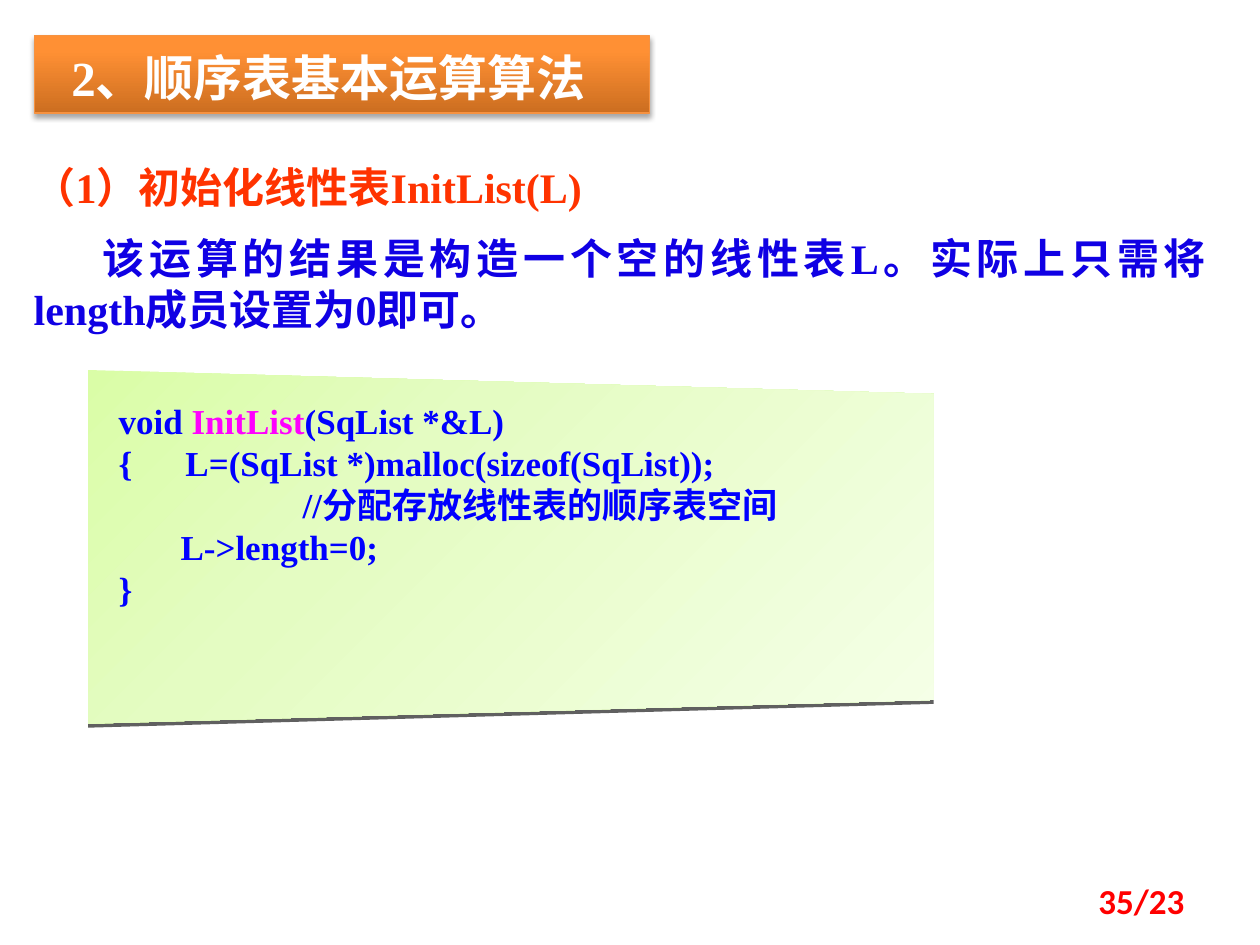
from lxml import etree
from pptx import Presentation
from pptx import util as u
from pptx.dml.color import RGBColor
from pptx.enum import text
from pptx.oxml import ns

WHITE = RGBColor(0xFF, 0xFF, 0xFF)
RED = RGBColor(0xFF, 0x00, 0x00)
ORANGE_RED = RGBColor(0xFF, 0x33, 0x00)
ORANGE_LINE = RGBColor(0xF6, 0x92, 0x40)
INDIGO = RGBColor(0x10, 0x00, 0xE4)
BLUE = RGBColor(0x00, 0x00, 0xFF)
MAGENTA = RGBColor(0xFF, 0x00, 0xFF)
EDGE_GRAY = RGBColor(0x60, 0x60, 0x60)
ORANGE_STOPS = [
    (0, RGBColor(0xCC, 0x6E, 0x20)),
    (0.8, RGBColor(0xFF, 0x90, 0x34)),
    (1, RGBColor(0xFF, 0x91, 0x36)),
]
GREEN_STOPS = [
    (0, RGBColor(0xDA, 0xFD, 0xA7)),
    (0.35, RGBColor(0xE4, 0xFC, 0xC2)),
    (1, RGBColor(0xF5, 0xFF, 0xE7)),
]
SERIF = "Times New Roman"


def set_format(target, values):
    """Set each attribute named in values on the target."""
    for name, value in values.items():
        setattr(target, name, value)


def add_run(paragraph, wording, color, size, font=SERIF):
    """Append a bold run to the paragraph."""
    run = paragraph.add_run()
    run.text = wording
    set_format(run.font, {"name": font, "size": u.Pt(size), "bold": True})
    run.font.color.rgb = color


def fill_gradient(shape, stops, angle):
    """Fill the shape with a linear gradient of any number of stops."""
    shape.fill.gradient()
    shape.fill.gradient_angle = angle
    stop_list = shape._element.spPr.find(ns.qn("a:gradFill")).find(ns.qn("a:gsLst"))
    for stop in list(stop_list):
        stop_list.remove(stop)
    for position, color in stops:
        stop = etree.SubElement(stop_list, ns.qn("a:gs"), pos=str(int(position * 100000)))
        etree.SubElement(stop, ns.qn("a:srgbClr"), val=str(color))


def add_shadow(shape, blur, distance, opacity):
    """Give the shape a soft shadow that falls straight down."""
    shape.shadow.inherit = False
    effects = shape._element.spPr.find(ns.qn("a:effectLst"))
    shadow = etree.SubElement(
        effects, ns.qn("a:outerShdw"), blurRad=str(u.Pt(blur)),
        dist=str(u.Pt(distance)), dir="5400000", rotWithShape="0",
    )
    color = etree.SubElement(shadow, ns.qn("a:srgbClr"), val="000000")
    etree.SubElement(color, ns.qn("a:alpha"), val=str(opacity * 1000))


def place_title(slide, left, top, width, height):
    """Turn the title placeholder into the orange heading bar."""
    title = slide.shapes.title
    set_format(title, {"left": left, "top": top, "width": width, "height": height})
    fill_gradient(title, ORANGE_STOPS, 90)
    title.line.color.rgb = ORANGE_LINE
    title.line.width = u.Pt(0.75)
    add_shadow(title, 3.1, 1.8, 35)
    set_format(title.text_frame, {
        "auto_size": text.MSO_AUTO_SIZE.NONE,
        "vertical_anchor": text.MSO_ANCHOR.TOP,
        "margin_left": u.Cm(0.75),
    })
    paragraph = title.text_frame.paragraphs[0]
    set_format(paragraph, {"alignment": text.PP_ALIGN.LEFT, "line_spacing": 1.1})
    add_run(paragraph, "2、顺序表基本运算算法", WHITE, 28)


def add_description(slide, left, top, width, height):
    """Add the operation's name and its explanation."""
    frame = slide.shapes.add_textbox(left, top, width, height).text_frame
    frame.word_wrap = True
    heading = frame.paragraphs[0]
    heading.line_spacing = 1.4
    add_run(heading, "（1）初始化线性表InitList(L)", ORANGE_RED, 24)
    body = frame.add_paragraph()
    set_format(body, {"alignment": text.PP_ALIGN.JUSTIFY, "space_before": u.Pt(12)})
    body._p.get_or_add_pPr().set("indent", str(u.Cm(1.39)))
    add_run(body, "该运算的结果是构造一个空的线性表L。实际上只需将length成员设置为0即可。", INDIGO, 24)


def add_trapezoid(slide, left, top, width, height, slant):
    """Add a panel whose right side is shorter by the slant at each end."""
    builder = slide.shapes.build_freeform(left, top)
    builder.add_line_segments([
        (left + width, top + slant),
        (left + width, top + height - slant),
        (left, top + height),
    ])
    panel = builder.convert_to_shape()
    panel.shadow.inherit = False
    panel.line.fill.background()
    return panel


def add_code_panel(slide, left, top, width, height):
    """Add the green panel with a dark lower edge and the code listing."""
    slant = u.Cm(0.48)
    edge = add_trapezoid(slide, left, top + u.Cm(0.08), width, height, slant)
    edge.fill.solid()
    edge.fill.fore_color.rgb = EDGE_GRAY
    panel = add_trapezoid(slide, left, top, width, height, slant)
    fill_gradient(panel, GREEN_STOPS, 315)
    frame = panel.text_frame
    set_format(frame, {
        "word_wrap": True,
        "vertical_anchor": text.MSO_ANCHOR.TOP,
        "margin_left": u.Cm(0.61),
        "margin_top": u.Cm(0.59),
        "margin_right": u.Cm(0.4),
    })
    lines = [
        (0, [("void ", BLUE), ("InitList", MAGENTA), ("(SqList *&L)", BLUE)]),
        (0, [("{\tL=(SqList *)malloc(sizeof(SqList));", BLUE)]),
        (3.71, [("//分配存放线性表的顺序表空间", BLUE)]),
        (1.25, [("L->length=0;", BLUE)]),
        (0, [("}", BLUE)]),
    ]
    for index, (indent, runs) in enumerate(lines):
        paragraph = frame.add_paragraph() if index else frame.paragraphs[0]
        paragraph.alignment = text.PP_ALIGN.LEFT
        properties = paragraph._p.get_or_add_pPr()
        properties.set("marL", str(u.Cm(indent)))
        tabs = etree.SubElement(properties, ns.qn("a:tabLst"))
        etree.SubElement(tabs, ns.qn("a:tab"), pos=str(u.Cm(1.35)), algn="l")
        for wording, color in runs:
            add_run(paragraph, wording, color, 20)


def add_page_number(slide, left, top, width, height):
    """Add the red page count at the lower right."""
    frame = slide.shapes.add_textbox(left, top, width, height).text_frame
    set_format(frame, {"word_wrap": True, "vertical_anchor": text.MSO_ANCHOR.MIDDLE})
    paragraph = frame.paragraphs[0]
    paragraph.alignment = text.PP_ALIGN.RIGHT
    add_run(paragraph, "35/23", RED, 20, "Calibri")


def main():
    """Build the slide and save the presentation."""
    presentation = Presentation()
    set_format(presentation, {"slide_width": u.Cm(25.4), "slide_height": u.Cm(19.05)})
    slide = presentation.slides.add_slide(presentation.slide_layouts[5])
    regions = [
        (place_title, (0.69, 0.71, 12.4, 1.57)),
        (add_description, (0.43, 2.72, 24.13, 4.27)),
        (add_code_panel, (1.78, 7.46, 17.04, 7.13)),
        (add_page_number, (18.21, 17.65, 5.92, 1.02)),
    ]
    for build, box in regions:
        build(slide, *map(u.Cm, box))
    presentation.save("out.pptx")


if __name__ == "__main__":
    main()
